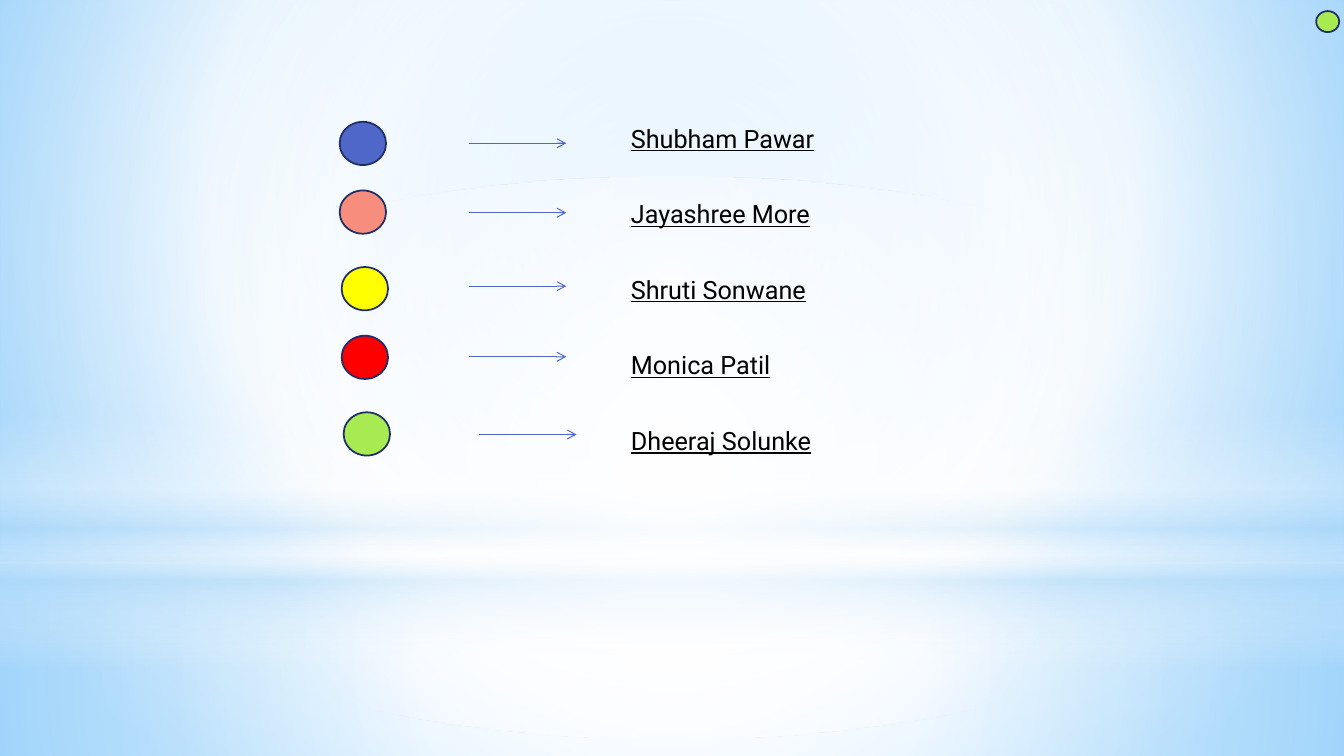
from lxml.etree import SubElement
from pptx import Presentation
from pptx.dml.color import RGBColor
from pptx.enum.shapes import MSO_CONNECTOR, MSO_SHAPE
from pptx.enum.text import MSO_ANCHOR, MSO_AUTO_SIZE, PP_ALIGN
from pptx.oxml.ns import qn
from pptx.util import Cm, Pt

THEME = {
    "font": "Roboto", "size": 18, "text": "000000", "spacing": 2.5,
    "edge": "1F2E69", "rim": 1.25, "arrow": "4E67C8", "thin": 0.75,
    "white": "FFFFFF", "mist": "B4DCFA", "sky": "9ED5FF", "deep": "5BB9FF",
    "blue": "4E67C8", "coral": "F78D7C", "yellow": "FFFF00",
    "red": "FF0000", "green": "A7EA52",
}
WIDE, HIGH = 33.87, 19.05
MID = (50, 50, 50, 50)

# name, colour, disc left, disc top, arrow left, arrow height
PEOPLE = [
    ("Shubham Pawar", "blue", 8.56, 3.07, 11.81, 3.61),
    ("Jayashree More", "coral", 8.56, 4.8, 11.81, 5.36),
    ("Shruti Sonwane", "yellow", 8.61, 6.73, 11.81, 7.21),
    ("Monica Patil", "red", 8.61, 8.46, 11.81, 8.99),
    ("Dheeraj Solunke", "green", 8.66, 10.39, 12.07, 10.95),
]
DISC = (1.17, 1.09)
REACH = 2.46
NAMES = (15.65, 1.83, 16.94, 9.88)
BADGE = ("green", 33.17, 0.28, 0.58, 0.53)

# gradient stops: position, colour, opacity (all in percent)
BACK = [(0, "sky", 100), (60, "white", 100), (100, "deep", 100)]
# shape, top, height, stops, centre (None for a vertical gradient)
BANDS = [
    (MSO_SHAPE.RECTANGLE, 14.17, 4.88,
     [(0, "white", 91), (37, "white", 76), (100, "mist", 79)], MID),
    (MSO_SHAPE.RECTANGLE, 0, 14.17,
     [(0, "white", 89), (48, "white", 62), (100, "mist", 79)], MID),
    (MSO_SHAPE.RECTANGLE, 10.46, 6.35,
     [(0, "white", 0), (29, "white", 30), (45, "mist", 40),
      (55, "white", 26), (65, "mist", 60), (100, "white", 0)], None),
    (MSO_SHAPE.OVAL, 4.45, 14.17,
     [(0, "white", 100), (56, "white", 0)], MID),
]


def tint(key):
    return RGBColor.from_string(THEME[key])


def shade(owner, fill, stops, focus):
    """Give owner a gradient: round about focus, or vertical without one."""
    fill.gradient()
    grad = next(owner.element.iter(qn("a:gradFill")))
    grad.clear()
    grad.set("rotWithShape", "1")
    steps = SubElement(grad, qn("a:gsLst"))
    for place, key, alpha in stops:
        step = SubElement(steps, qn("a:gs"), pos=str(place * 1000))
        color = SubElement(step, qn("a:srgbClr"), val=THEME[key])
        if alpha < 100:
            SubElement(color, qn("a:alpha"), val=str(alpha * 1000))
    if focus:
        way = SubElement(grad, qn("a:path"), path="circle")
        sides = {side: str(part * 1000) for side, part in zip("ltrb", focus)}
        SubElement(way, qn("a:fillToRect"), **sides)
    else:
        SubElement(grad, qn("a:lin"), ang="5400000", scaled="0")


def add_band(slide, kind, top, height, stops, focus):
    band = slide.shapes.add_shape(kind, Cm(0), Cm(top), Cm(WIDE), Cm(height))
    band.shadow.inherit = False
    band.line.fill.background()
    shade(band, band.fill, stops, focus)


def add_disc(slide, key, *box):
    disc = slide.shapes.add_shape(MSO_SHAPE.OVAL, *map(Cm, box))
    disc.shadow.inherit = False
    disc.fill.solid()
    disc.fill.fore_color.rgb = tint(key)
    disc.line.color.rgb = tint("edge")
    disc.line.width = Pt(THEME["rim"])


def add_arrow(slide, left, y):
    arrow = slide.shapes.add_connector(
        MSO_CONNECTOR.STRAIGHT, Cm(left), Cm(y), Cm(left + REACH), Cm(y))
    arrow.line.color.rgb = tint("arrow")
    arrow.line.width = Pt(THEME["thin"])
    props = arrow.element.spPr
    SubElement(props.find(qn("a:ln")), qn("a:tailEnd"), type="arrow")
    SubElement(props, qn("a:effectLst"))


def add_names(slide, names):
    frame = slide.shapes.add_textbox(*map(Cm, NAMES)).text_frame
    frame.word_wrap = True
    frame.auto_size = MSO_AUTO_SIZE.SHAPE_TO_FIT_TEXT
    frame.vertical_anchor = MSO_ANCHOR.TOP
    for index, name in enumerate(names):
        para = frame.add_paragraph() if index else frame.paragraphs[0]
        para.alignment = PP_ALIGN.LEFT
        para.line_spacing = THEME["spacing"]
        run = para.add_run()
        run.text = name
        run.font.name = THEME["font"]
        run.font.size = Pt(THEME["size"])
        run.font.underline = True
        run.font.color.rgb = tint("text")


def main():
    deck = Presentation()
    deck.slide_width, deck.slide_height = Cm(WIDE), Cm(HIGH)
    slide = deck.slides.add_slide(deck.slide_layouts[6])
    shade(slide, slide.background.fill, BACK, (20, 10, 20, 60))
    for band in BANDS:
        add_band(slide, *band)
    for _, key, left, top, start, y in PEOPLE:
        add_disc(slide, key, left, top, *DISC)
        add_arrow(slide, start, y)
    add_names(slide, [person[0] for person in PEOPLE])
    add_disc(slide, *BADGE)
    deck.save("out.pptx")


if __name__ == "__main__":
    main()
